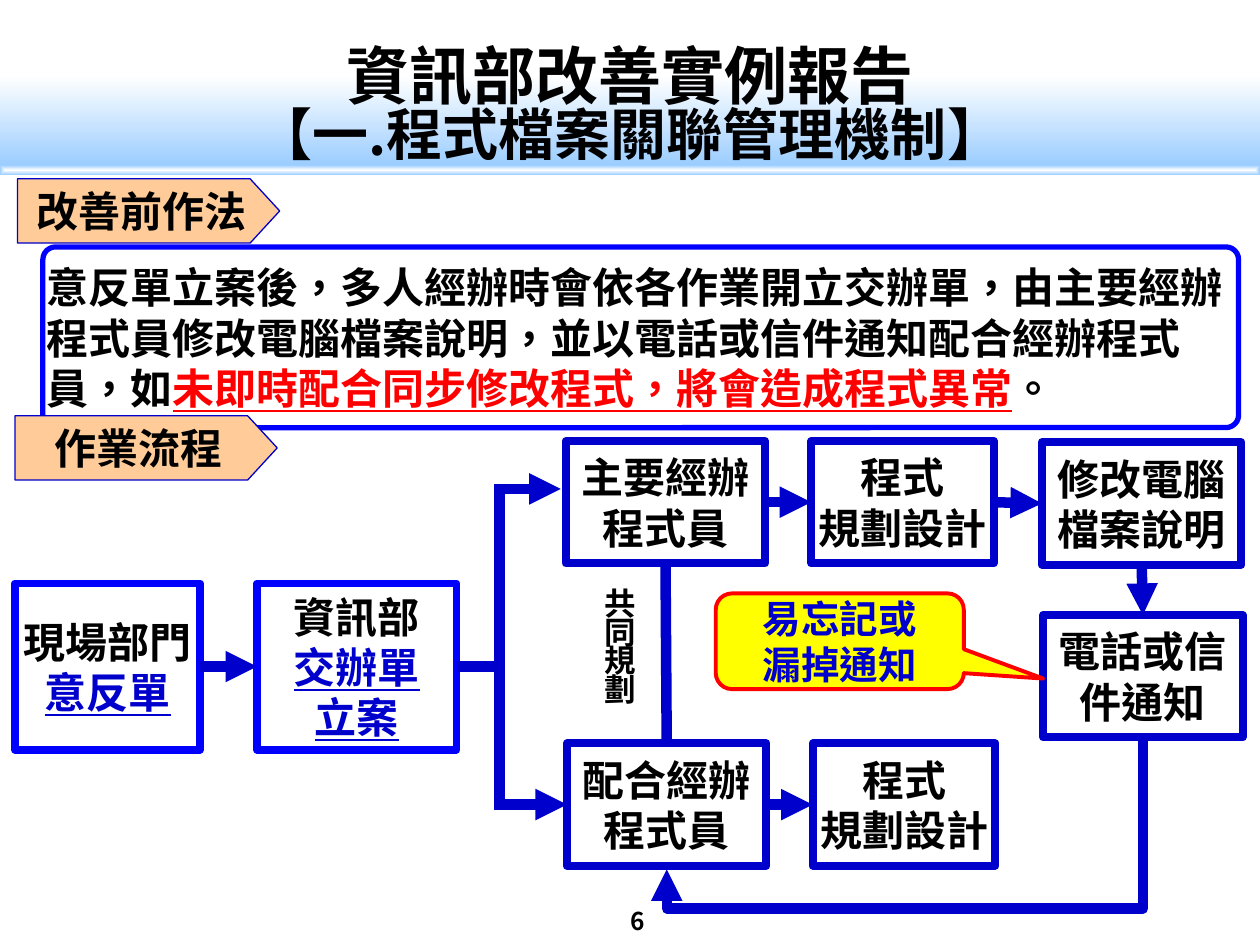
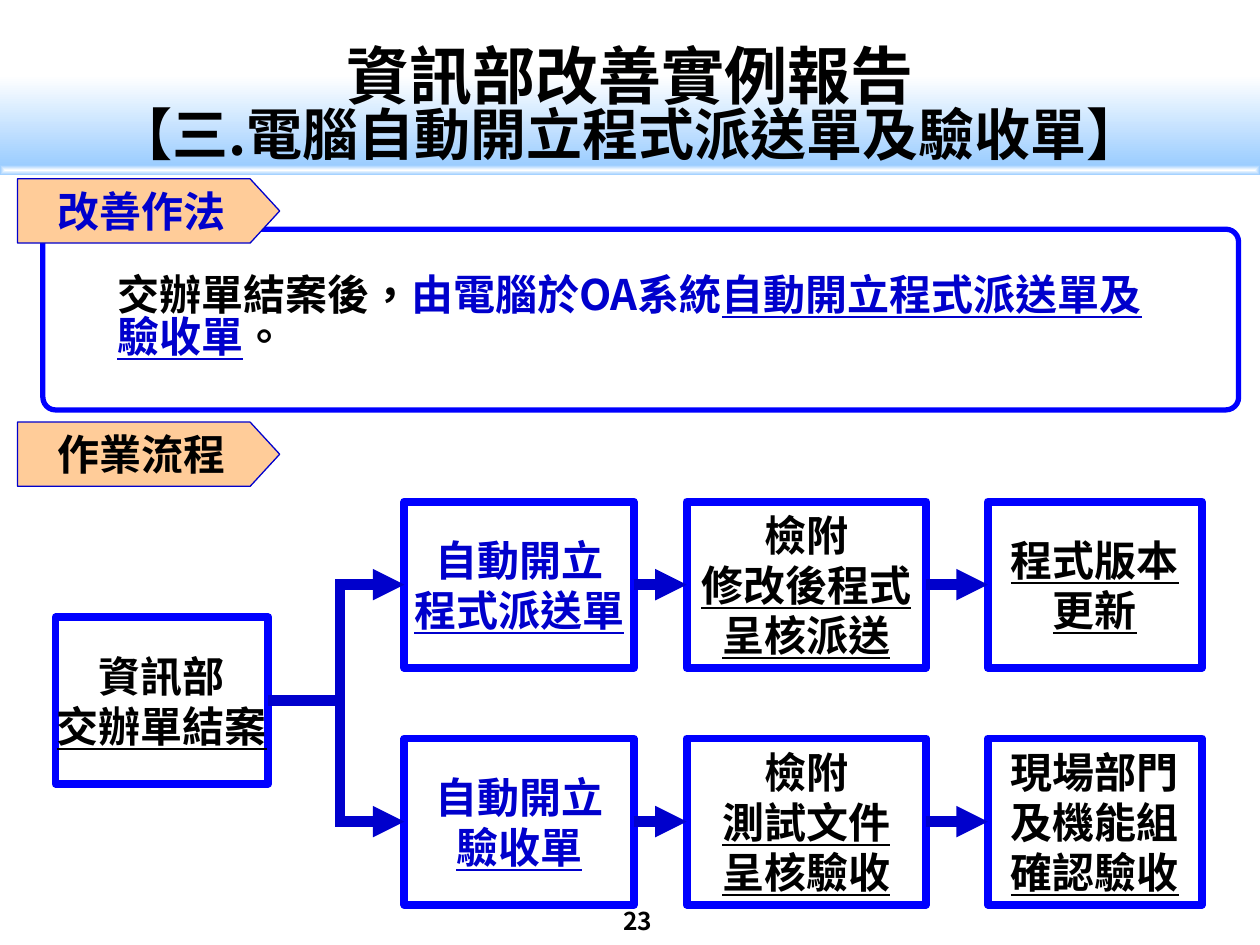
from lxml.etree import SubElement
from pptx import Presentation
from pptx.dml.color import RGBColor
from pptx.enum.shapes import MSO_CONNECTOR as Link, MSO_SHAPE as Geo
from pptx.enum.text import MSO_ANCHOR as Anchor, MSO_AUTO_SIZE as Fit, PP_ALIGN as Align
from pptx.oxml.ns import qn
from pptx.util import Pt

CJK, SERIF = "Noto Sans CJK SC", "Times New Roman"
BLACK, WHITE, RED, YELLOW = "000000", "FFFFFF", "FF0000", "FFFF00"
NAVY, BLUE, SKY, PEACH = "0000CC", "0000FF", "99CCFF", "FFCC99"
SLIDE_W, SLIDE_H = 720, 540
TOP, LEFT, BOTTOM, RIGHT = range(4)


def rgb(color):
    return RGBColor.from_string(color)


def ink(text, color=BLACK, underline=False):
    return text, color, underline


def write(shape, paragraphs, size=24, font=CJK, align=Align.CENTER, anchor=Anchor.MIDDLE,
          inset=0, wrap=True, fit=Fit.NONE, spacing=None):
    """Fill a shape with paragraphs: each a string, one ink() or a list of them.

    The font is for Latin letters; Chinese is always set in CJK, as Taiwan text.
    """
    frame = shape.text_frame
    frame.word_wrap, frame.auto_size, frame.vertical_anchor = wrap, fit, anchor
    if inset is not None:
        frame.margin_left = frame.margin_right = Pt(inset)
        frame.margin_top = frame.margin_bottom = Pt(inset)
    for index, content in enumerate(paragraphs):
        if isinstance(content, str):
            content = ink(content)
        pieces = content if isinstance(content, list) else [content]
        para = frame.paragraphs[0] if index == 0 else frame.add_paragraph()
        para.alignment = align
        if spacing:
            para.line_spacing = spacing
        para.font.size, para.font.bold, para.font.name = Pt(size), True, font
        properties = para._p.pPr
        properties.set("hangingPunct", "0")
        SubElement(properties.find(qn("a:defRPr")), qn("a:ea"), typeface=CJK)
        for words, color, underline in pieces:
            run = para.add_run()
            run.text = words
            run._r.get_or_add_rPr().set("lang", "zh-TW")
            styled = para.font if len(pieces) == 1 else run.font
            styled.color.rgb = rgb(color)
            styled.underline = underline


def add_box(slide, geometry, box, line=None, width=1, fill=None, adjust=()):
    shape = slide.shapes.add_shape(geometry, *map(Pt, box))
    shape.shadow.inherit = False
    for index, value in enumerate(adjust):
        shape.adjustments[index] = value
    if fill:
        shape.fill.solid()
        shape.fill.fore_color.rgb = rgb(fill)
    else:
        shape.fill.background()
    if line:
        shape.line.color.rgb = rgb(line)
        shape.line.width = Pt(width)
    else:
        shape.line.fill.background()
    return shape


def add_text(slide, box, paragraphs, **style):
    write(slide.shapes.add_textbox(*map(Pt, box)), paragraphs, anchor=Anchor.TOP, **style)


# Connectors

def point_of(end):
    """Turn an (x, y) point or a (shape, side) pair into a point."""
    shape, side = end
    if isinstance(shape, (int, float)):
        return end
    x, y, w, h = (v.pt for v in (shape.left, shape.top, shape.width, shape.height))
    return [(x + w / 2, y), (x, y + h / 2), (x + w / 2, y + h), (x + w, y + h / 2)][side]


def style_connector(connector, arrow):
    connector.line.color.rgb = rgb(NAVY)
    connector.line.width = Pt(6)
    properties = connector._element.spPr
    if arrow:
        SubElement(properties.find(qn("a:ln")), qn("a:tailEnd"), type="triangle")
    SubElement(properties, qn("a:effectLst"))


def connect(slide, start, end, arrow=True):
    """Draw a straight connector, joined to each end given as (shape, side)."""
    ends = map(Pt, (*point_of(start), *point_of(end)))
    connector = slide.shapes.add_connector(Link.STRAIGHT, *ends)
    for join, (shape, side) in ((connector.begin_connect, start), (connector.end_connect, end)):
        if not isinstance(shape, (int, float)):
            join(shape, side)
    style_connector(connector, arrow)


def fork(slide, source, trunk_x, targets):
    """Lead from the right of source to a vertical trunk that branches to the targets."""
    start = (source, RIGHT)
    connect(slide, start, (trunk_x, point_of(start)[1]), arrow=False)
    heights = [point_of(target)[1] for target in targets]
    connect(slide, (trunk_x, min(heights) - 3), (trunk_x, max(heights) + 3), arrow=False)
    for target, y in zip(targets, heights):
        connect(slide, (trunk_x, y), target)


def loop_under(slide, start, end, depth):
    """Draw an elbow from start down to depth, leftwards, and up to end."""
    (x1, y1), (x2, y2) = start, end
    mid_x, mid_y = (x1 + x2) / 2, (y1 + y2) / 2
    half_w, half_h = (y2 - y1) / 2, (x1 - x2) / 2
    corners = (mid_x - half_w, mid_y - half_h, mid_x + half_w, mid_y + half_h)
    connector = slide.shapes.add_connector(Link.ELBOW, *map(Pt, corners))
    properties = connector._element.spPr
    properties.find(qn("a:xfrm")).set("rot", "5400000")
    bend = round((depth - y1) / (y2 - y1) * 100000)
    guides = properties.find(qn("a:prstGeom")).find(qn("a:avLst"))
    SubElement(guides, qn("a:gd"), name="adj1", fmla=f"val {bend}")
    style_connector(connector, arrow=True)


# Slide regions

def add_band(slide, box):
    band = add_box(slide, Geo.RECTANGLE, box)
    band.fill.gradient()
    band.fill.gradient_angle = 270
    for stop, color, position in zip(band.fill.gradient_stops, (WHITE, SKY), (0, 1)):
        stop.color.rgb = rgb(color)
        stop.position = position
    return band


def add_header(slide, subtitle):
    add_band(slide, (0, 43.2, SLIDE_W, 52.6))
    rim = add_band(slide, (0, 94.3, SLIDE_W, 5.8))
    gradient = rim._element.spPr.find(qn("a:gradFill"))
    gradient.remove(gradient.find(qn("a:lin")))
    glow = SubElement(gradient, qn("a:path"), path="shape")
    SubElement(glow, qn("a:fillToRect"), {side: "50000" for side in "ltrb"})
    add_text(slide, (0, 20.9, SLIDE_W, 43.9), ["資訊部改善實例報告"], size=36,
             fit=Fit.SHAPE_TO_FIT_TEXT)
    add_text(slide, (0, 56.9, SLIDE_W, 38.2), [subtitle], size=32, fit=Fit.SHAPE_TO_FIT_TEXT)


def new_slide(deck, subtitle, number):
    slide = deck.slides.add_slide(deck.slide_layouts[6])
    add_header(slide, subtitle)
    add_text(slide, (330.5, 514.1, 67.7, 17.3), [number], size=14, inset=None)
    return slide


def add_heading(slide, left, top, title):
    plate = add_box(slide, Geo.PENTAGON, (left, top, 149.8, 36.7), NAVY, 0.75, PEACH, [0.46])
    write(plate, [title], anchor=Anchor.TOP, inset=None, fit=Fit.SHAPE_TO_FIT_TEXT)


def add_frame(slide, top):
    return add_box(slide, Geo.ROUNDED_RECTANGLE, (24.5, top, 683.3, 103.3), BLUE, 3,
                   adjust=[0.07])


def add_step(slide, box, paragraphs, line=BLUE, font=CJK):
    step = add_box(slide, Geo.RECTANGLE, box, line, 4.5)
    write(step, paragraphs, font=font)
    return step


def add_old_flow(slide, left, top):
    def step(x, y, w, h, *paragraphs, **style):
        return add_step(slide, (left + x, top + y, w, h), paragraphs, **style)

    def programmer_step(x, y, text):
        return step(x, y, 114, 70, text, line=NAVY, font=SERIF)

    def design_step(x, y):
        return step(x, y, 104.4, 70, "程式", "規劃設計", line=NAVY)

    request = step(0, 81.4, 105.8, 95, "現場部門", ink("意反單", NAVY, True))
    assignment = step(138.3, 81.4, 114, 95, "資訊部",
                      ink("交辦單", NAVY, True), ink("立案", NAVY, True))
    lead = programmer_step(314.7, 0, "主要經辦程式員")
    support = programmer_step(315.4, 172.8, "配合經辦程式員")
    lead_design = design_step(455, 0)
    support_design = design_step(455.8, 172.8)
    file_notes = programmer_step(586.8, 0.7, "修改電腦檔案說明")
    notice = programmer_step(587.5, 99.4, "電話或信件通知")

    add_text(slide, (left + 329.8, top + 83.5, 32.4, 72), list("共同規劃"), size=18, font=SERIF,
             align=Align.LEFT, inset=None, wrap=False, fit=Fit.SHAPE_TO_FIT_TEXT, spacing=0.75)
    connect(slide, (support, TOP), (lead, BOTTOM), arrow=False)
    for before, after in ((request, assignment), (lead, lead_design),
                          (lead_design, file_notes), (support, support_design)):
        connect(slide, (before, RIGHT), (after, LEFT))
    connect(slide, (file_notes, BOTTOM), (notice, TOP))
    fork(slide, assignment, left + 276.9, [(left + 311.8, top + 27.4), (support, LEFT)])
    x, y = point_of((support, BOTTOM))
    loop_under(slide, point_of((notice, BOTTOM)), (x, y + 2), top + 267.1)

    warning = add_box(slide, Geo.ROUNDED_RECTANGULAR_CALLOUT,
                      (left + 400.4, top + 87.1, 141.8, 54.7), RED, 2.25, YELLOW,
                      [0.82, 0.39, 0.17])
    write(warning, [ink("易忘記或", NAVY), ink("漏掉通知", NAVY)], size=22)


def add_new_flow(slide, left, top):
    columns = [(199.4, 131), (360.7, 136.8), (532.8, 122.4)]
    rows = [
        [[ink("自動開立", NAVY), ink("程式派送單", NAVY, True)],
         ["檢附", ink("修改後程式", underline=True), ink("呈核派送", underline=True)],
         [ink("程式版本", underline=True), ink("更新", underline=True)]],
        [[ink("自動開立", NAVY), ink("驗收單", NAVY, True)],
         ["檢附", ink("測試文件", underline=True), ink("呈核驗收", underline=True)],
         ["現場部門", "及機能組", ink("確認驗收", underline=True)]],
    ]
    closing = add_step(slide, (left, top + 66.2, 121.7, 95),
                       ["資訊部", ink("交辦單結案", underline=True)])
    first_steps = []
    for row, texts in enumerate(rows):
        steps = [add_step(slide, (left + x, top + 135.4 * row, w, 95), text)
                 for (x, w), text in zip(columns, texts)]
        for before, after in zip(steps, steps[1:]):
            connect(slide, (before, RIGHT), (after, LEFT))
        first_steps.append((steps[0], LEFT))
    fork(slide, closing, left + 162.7, first_steps)


def build_before_slide(deck):
    slide = new_slide(deck, "【一.程式檔案關聯管理機制】", "6")
    write(add_frame(slide, 141.1), [[
        ink("意反單立案後，多人經辦時會依各作業開立交辦單，由主要經辦程式員修改電腦檔案說明，"
            "並以電話或信件通知配合經辦程式員，如"),
        ink("未即時配合同步修改程式，將會造成程式異常", RED, True),
        ink("。")]], align=Align.LEFT)
    add_heading(slide, 10, 102.2, "改善前作法")
    add_heading(slide, 8.6, 237.6, "作業流程")
    add_old_flow(slide, 8.6, 252)


def build_after_slide(deck):
    slide = new_slide(deck, "【三.電腦自動開立程式派送單及驗收單】", "23")
    add_frame(slide, 131)
    add_heading(slide, 10, 102.2, ink("改善作法", NAVY))
    add_heading(slide, 10, 241.2, "作業流程")
    add_text(slide, (59.8, 154.8, 615.6, 55.4), [[
        ink("交辦單結案後，"), ink("由電腦於OA系統", NAVY),
        ink("自動開立程式派送單及驗收單", NAVY, True), ink("。")]],
        align=Align.LEFT, inset=None, fit=Fit.SHAPE_TO_FIT_TEXT, spacing=Pt(24))
    add_new_flow(slide, 31.7, 286.6)


def main():
    deck = Presentation()
    deck.slide_width, deck.slide_height = Pt(SLIDE_W), Pt(SLIDE_H)
    build_before_slide(deck)
    build_after_slide(deck)
    deck.save("out.pptx")


if __name__ == "__main__":
    main()
